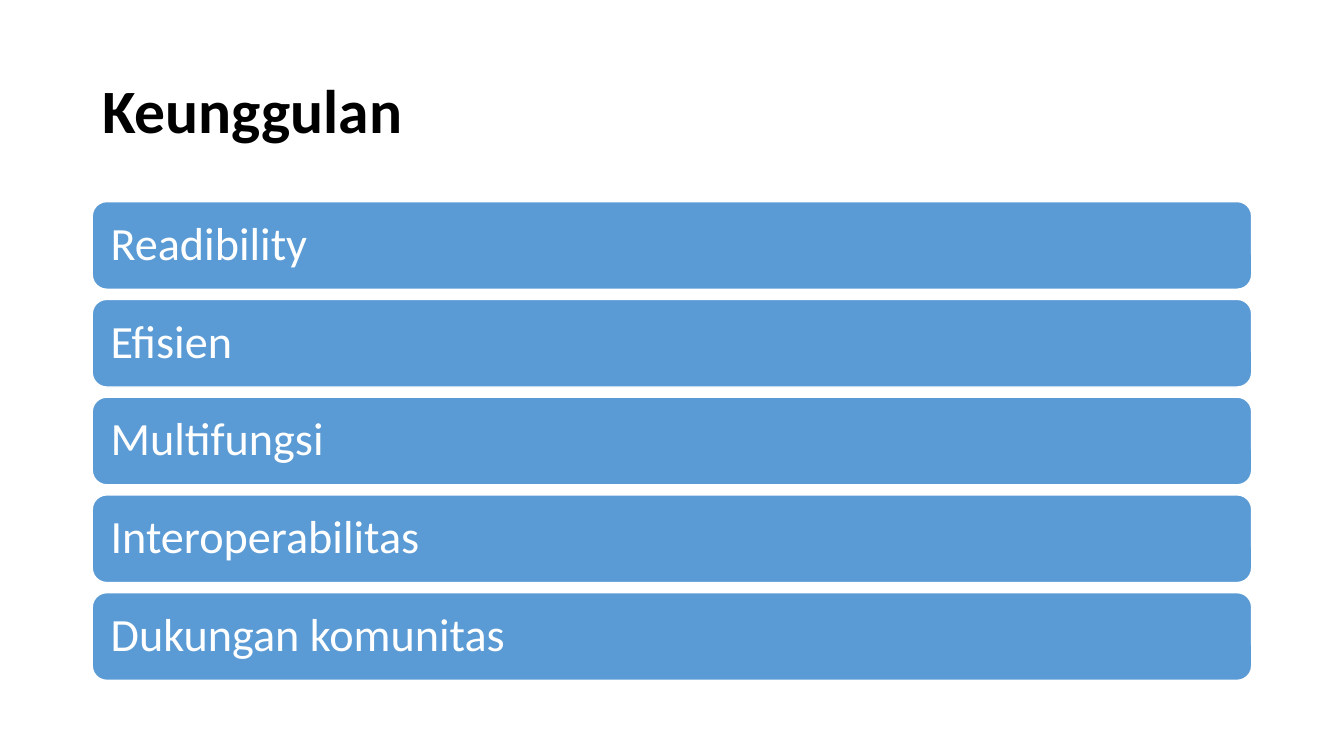
from dataclasses import dataclass

from pptx import Presentation
from pptx.dml.color import RGBColor
from pptx.enum.shapes import MSO_SHAPE
from pptx.enum.text import MSO_ANCHOR, PP_ALIGN
from pptx.util import Inches, Pt

TITLE = "Keunggulan"
ADVANTAGES = [
    "Readibility",
    "Efisien",
    "Multifungsi",
    "Interoperabilitas",
    "Dukungan komunitas",
]


@dataclass(frozen=True)
class Theme:
    font: str = "Calibri"
    title_size: int = 44
    bar_size: int = 33
    black: RGBColor = RGBColor(0, 0, 0)
    white: RGBColor = RGBColor(255, 255, 255)
    blue: RGBColor = RGBColor(0x5B, 0x9B, 0xD5)


THEME = Theme()
SLIDE_WIDTH, SLIDE_HEIGHT = 13.33, 7.5
CONTENT_WIDTH = 11.5
MARGIN = (SLIDE_WIDTH - CONTENT_WIDTH) / 2
TITLE_TOP, TITLE_HEIGHT = 0.4, 1.45
BARS_TOP, BAR_PITCH, BAR_HEIGHT = 2, 0.97, 0.87


def write_text(shape, text, *, size, color, bold=False, inset=0.1):
    frame = shape.text_frame
    frame.word_wrap = True
    frame.vertical_anchor = MSO_ANCHOR.MIDDLE
    frame.margin_left = frame.margin_right = Inches(inset)
    frame.margin_top = frame.margin_bottom = Inches(0.05)
    paragraph = frame.paragraphs[0]
    paragraph.alignment = PP_ALIGN.LEFT
    paragraph.line_spacing = 0.9
    run = paragraph.add_run()
    run.text = text
    run.font.name = THEME.font
    run.font.size = Pt(size)
    run.font.bold = bold
    run.font.color.rgb = color


def add_bar(slide, row, text):
    top = BARS_TOP + row * BAR_PITCH
    bar = slide.shapes.add_shape(
        MSO_SHAPE.ROUNDED_RECTANGLE,
        Inches(MARGIN), Inches(top), Inches(CONTENT_WIDTH), Inches(BAR_HEIGHT),
    )
    bar.shadow.inherit = False
    bar.fill.solid()
    bar.fill.fore_color.rgb = THEME.blue
    bar.line.color.rgb = THEME.white
    bar.line.width = Pt(1)
    write_text(bar, text, size=THEME.bar_size, color=THEME.white, inset=0.14)


def main():
    presentation = Presentation()
    presentation.slide_width = Inches(SLIDE_WIDTH)
    presentation.slide_height = Inches(SLIDE_HEIGHT)
    slide = presentation.slides.add_slide(presentation.slide_layouts[6])
    title = slide.shapes.add_textbox(
        Inches(MARGIN), Inches(TITLE_TOP), Inches(CONTENT_WIDTH), Inches(TITLE_HEIGHT)
    )
    write_text(title, TITLE, size=THEME.title_size, color=THEME.black, bold=True)
    for row, advantage in enumerate(ADVANTAGES):
        add_bar(slide, row, advantage)
    presentation.save("out.pptx")


if __name__ == "__main__":
    main()
